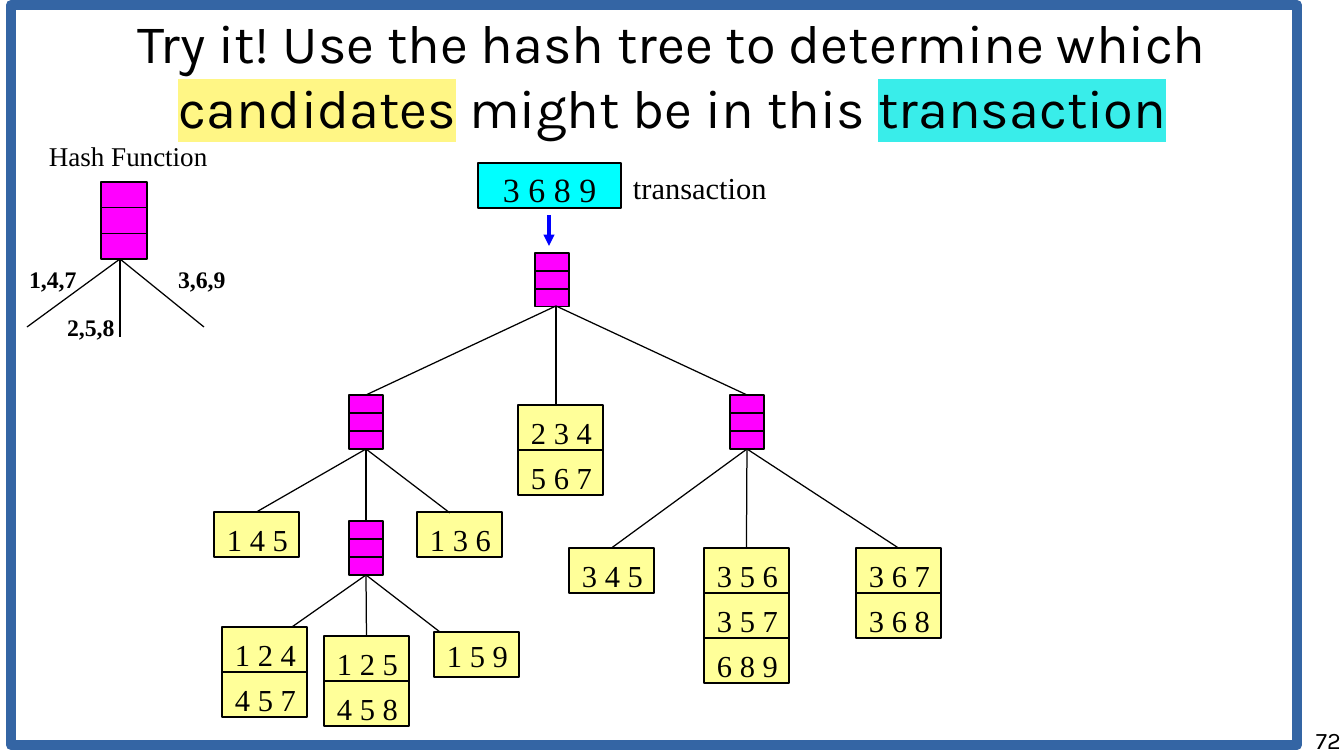
"""Build a slide that matches a transaction against a hash tree of candidates."""
from dataclasses import dataclass

from lxml import etree
from pptx import Presentation
from pptx.dml.color import RGBColor
from pptx.enum.shapes import MSO_CONNECTOR, MSO_SHAPE
from pptx.enum.text import MSO_ANCHOR, MSO_AUTO_SIZE, PP_ALIGN
from pptx.oxml.ns import qn
from pptx.util import Emu, Pt

RECTANGLE = MSO_SHAPE.RECTANGLE
STRAIGHT = MSO_CONNECTOR.STRAIGHT
TOP, MIDDLE = MSO_ANCHOR.TOP, MSO_ANCHOR.MIDDLE
LEFT, CENTER, RIGHT = PP_ALIGN.LEFT, PP_ALIGN.CENTER, PP_ALIGN.RIGHT
NO_AUTOFIT = MSO_AUTO_SIZE.NONE
TOP_SIDE, BOTTOM_SIDE = 0, 2
EMU_PER_PX = 914400 / 122


@dataclass(frozen=True)
class Theme:
    """Colours, fonts and type sizes of the slide."""
    ink: str = "000000"
    node: str = "FF00FF"
    leaf: str = "FFFF99"
    transaction: str = "00FFFF"
    arrow: str = "0000FF"
    frame: str = "3465A4"
    candidate_mark: str = "FFF685"
    transaction_mark: str = "39EDEA"
    heading_font: str = "Karla"
    tree_font: str = "Times New Roman"
    title_size: int = 32
    transaction_size: int = 20
    leaf_size: int = 18
    caption_size: int = 16
    small_size: int = 14
    thin: float = 0.75
    arrow_width: float = 2.25
    frame_width: int = 6


def px(length):
    """Turn slide pixels into EMU."""
    return Emu(round(length * EMU_PER_PX))


def assign(target, **values):
    """Set several attributes on one object."""
    for name, value in values.items():
        setattr(target, name, value)


class HashTreeSlide:
    """Hold the style and the slide, and draw each kind of element."""

    def __init__(self, slide, theme):
        """Keep the slide and its theme."""
        self.slide, self.theme = slide, theme

    def add_text(self, paragraph, text, size, font, bold=False, mark=None):
        """Add one formatted run, highlighted if a mark colour is given."""
        run = paragraph.add_run()
        run.text = text
        run.font.color.rgb = RGBColor.from_string(self.theme.ink)
        assign(run.font, size=Pt(size), name=font, bold=bold)
        if mark:
            highlight = etree.Element(qn("a:highlight"))
            etree.SubElement(highlight, qn("a:srgbClr"), val=mark)
            run.font._element.find(qn("a:solidFill")).addnext(highlight)

    def layout_text(self, frame, insets, anchor=TOP, wrap=True):
        """Set left, top, right and bottom insets, anchor and wrapping."""
        left, top, right, bottom = map(px, insets)
        assign(frame, margin_left=left, margin_top=top, margin_right=right,
               margin_bottom=bottom, vertical_anchor=anchor,
               word_wrap=wrap, auto_size=NO_AUTOFIT)

    def title(self, box, pieces):
        """Place the title and fill in its marked pieces."""
        heading = self.slide.shapes.title
        left, top, width, height = map(px, box)
        assign(heading, left=left, top=top, width=width, height=height)
        self.layout_text(heading.text_frame, (0, 0, 0, 0), MIDDLE)
        paragraph = heading.text_frame.paragraphs[0]
        paragraph.alignment = CENTER
        for text, mark in pieces:
            self.add_text(paragraph, text, self.theme.title_size,
                          self.theme.heading_font, mark=mark)

    def label(self, box, text, size, bold=False):
        """Add an unwrapped label."""
        frame = self.slide.shapes.add_textbox(*map(px, box)).text_frame
        self.layout_text(frame, (12, 6, 12, 6), wrap=False)
        self.add_text(frame.paragraphs[0], text, size, self.theme.tree_font, bold)

    def page_number(self, box, text):
        """Add the page number at the right."""
        frame = self.slide.shapes.add_textbox(*map(px, box)).text_frame
        self.layout_text(frame, (0, 0, 0, 0))
        frame.paragraphs[0].alignment = RIGHT
        self.add_text(frame.paragraphs[0], text, self.theme.small_size,
                      self.theme.heading_font)

    def box(self, box, fill, line=None, width=None):
        """Add an outlined rectangle, hollow if it has no fill."""
        rectangle = self.slide.shapes.add_shape(RECTANGLE, *map(px, box))
        rectangle.shadow.inherit = False
        if fill:
            rectangle.fill.solid()
            rectangle.fill.fore_color.rgb = RGBColor.from_string(fill)
        else:
            rectangle.fill.background()
        rectangle.line.color.rgb = RGBColor.from_string(line or self.theme.ink)
        rectangle.line.width = Pt(width or self.theme.thin)
        return rectangle

    def itemset(self, box, text, fill, size, inset_left, inset_top):
        """Add a rectangle that lists the items of a set."""
        rectangle = self.box(box, fill)
        frame = rectangle.text_frame
        self.layout_text(frame, (inset_left, inset_top, 0, 0))
        frame.paragraphs[0].alignment = LEFT
        self.add_text(frame.paragraphs[0], text, size, self.theme.tree_font)
        return rectangle

    def leaf(self, left, top, candidates, inset_top=9):
        """Stack candidates in one leaf and return its top rectangle."""
        stack = [self.itemset((left, top + 45 * row, 85, 45), candidate,
                              self.theme.leaf, self.theme.leaf_size, 13, inset_top)
                 for row, candidate in enumerate(candidates)]
        return stack[0]

    def node(self, left, top, width=34, height=54):
        """Add a hash node split into three equal cells."""
        rectangle = self.box((left, top, width, height), self.theme.node)
        for third in (1, 2):
            y = top + height * third / 3
            self.line((left, y), (left + width, y))
        return rectangle

    def line(self, start, end, color=None, width=None, arrow=False):
        """Draw a line between points, or from a box bottom to a box top."""
        from_point, to_point = (
            spot if isinstance(spot, tuple) else (0, 0) for spot in (start, end))
        connector = self.slide.shapes.add_connector(
            STRAIGHT, *map(px, from_point + to_point))
        if not isinstance(start, tuple):
            connector.begin_connect(start, BOTTOM_SIDE)
        if not isinstance(end, tuple):
            connector.end_connect(end, TOP_SIDE)
        connector.line.color.rgb = RGBColor.from_string(color or self.theme.ink)
        connector.line.width = Pt(width or self.theme.thin)
        properties = connector._element.spPr
        if arrow:
            etree.SubElement(properties.find(qn("a:ln")), qn("a:tailEnd"),
                             type="triangle")
        etree.SubElement(properties, qn("a:effectLst"))

    def branches(self, start, ends):
        """Draw the lines from one parent to its children."""
        for end in ends:
            self.line(start, end)


def main():
    """Build and save the slide."""
    theme = Theme()
    deck = Presentation()
    assign(deck, slide_width=px(1344), slide_height=px(756))
    page = HashTreeSlide(deck.slides.add_slide(deck.slide_layouts[5]), theme)

    page.title((6, 0, 1333, 148), [
        ("Try it! Use the hash tree to determine which ", None),
        ("candidates", theme.candidate_mark),
        (" might be in this ", None),
        ("transaction", theme.transaction_mark)])

    page.node(535, 253)
    left_node = page.node(349, 395)
    right_node = page.node(730, 395)
    lower_node = page.node(349, 521)
    page.leaf(518, 405, ["2 3 4", "5 6 7"])
    leaf_145 = page.leaf(214, 512, ["1 4 5"])
    page.leaf(417, 512, ["1 3 6"])
    leaf_345 = page.leaf(569, 548, ["3 4 5"])
    leaf_356 = page.leaf(704, 548, ["3 5 6", "3 5 7", "6 8 9"])
    leaf_367 = page.leaf(856, 548, ["3 6 7", "3 6 8"])
    page.leaf(222, 627, ["1 2 4", "4 5 7"])
    leaf_125 = page.leaf(324, 636, ["1 2 5", "4 5 8"])
    page.leaf(434, 632, ["1 5 9"], inset_top=5)
    page.branches((556, 306), [left_node, (556, 405), right_node])
    page.branches(left_node, [leaf_145, lower_node, (450, 513)])
    page.branches(right_node, [leaf_345, leaf_356, leaf_367])
    page.branches(lower_node, [(292, 627), leaf_125, (440, 632)])

    page.itemset((478, 163, 143, 45), "3 6 8 9", theme.transaction,
                 theme.transaction_size, 25, 6)
    page.label((621, 163, 157, 49), "transaction", theme.leaf_size)
    page.line((549, 215), (549, 246), theme.arrow, theme.arrow_width, arrow=True)

    page.label((37, 133, 183, 45), "Hash Function", theme.caption_size)
    page.node(101, 182, 46, 77)
    page.branches((120, 259), [(27, 327), (120, 337), (204, 327)])
    for left, top, bucket in [(17, 259, "1,4,7"), (55, 307, "2,5,8"),
                              (166, 259, "3,6,9")]:
        page.label((left, top, 72, 40), bucket, theme.small_size, bold=True)

    page.box((11, 5, 1286, 740), None, theme.frame, theme.frame_width)
    page.page_number((1027, 726, 314, 30), "72")
    deck.save("out.pptx")


if __name__ == "__main__":
    main()
